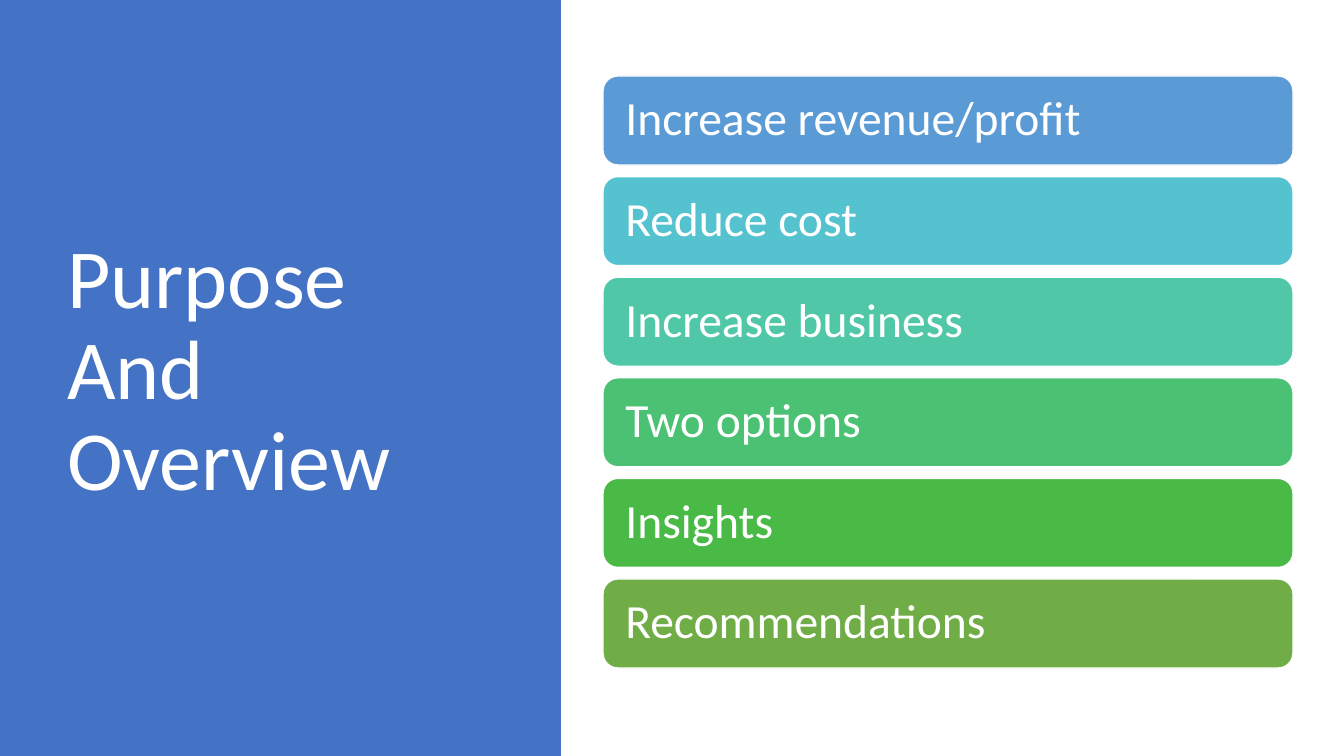
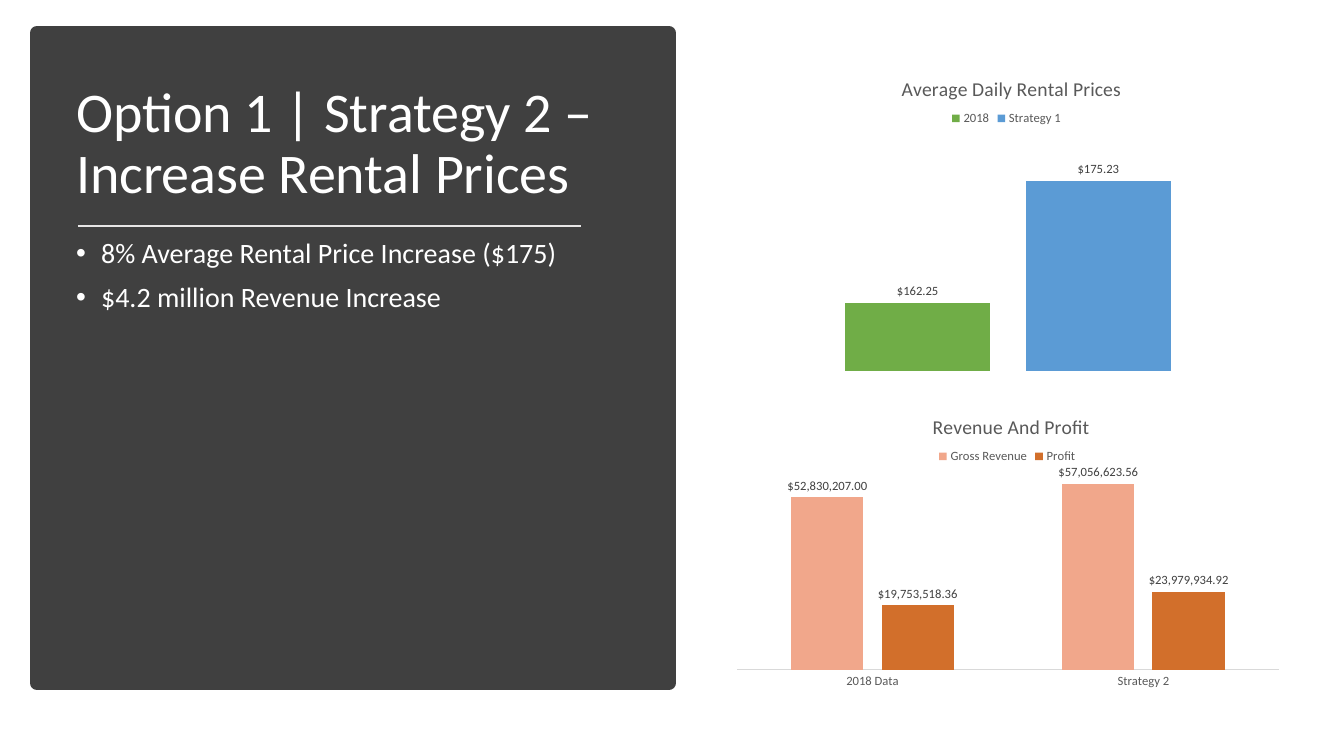
from lxml.etree import SubElement
from pptx import Presentation
from pptx.chart.data import CategoryChartData
from pptx.dml.color import RGBColor
from pptx.enum.chart import XL_CHART_TYPE, XL_LABEL_POSITION, XL_LEGEND_POSITION, XL_TICK_MARK
from pptx.enum.shapes import MSO_CONNECTOR, MSO_SHAPE
from pptx.enum.text import MSO_ANCHOR, MSO_AUTO_SIZE, PP_ALIGN
from pptx.oxml import parse_xml
from pptx.oxml.ns import nsdecls, qn
from pptx.util import Emu, Pt

EMU_PER_PX = 914400 / 100.8
FONT = "Calibri"
DOLLARS = '"$"#,##0.00'
COLORS = {
    "white": "FFFFFF", "band": "4472C4", "panel": "404040", "rule": "E7E6E6",
    "muted": "595959", "label": "404040", "axis": "D9D9D9", "black": "000000",
    "blue": "5B9BD5", "cyan": "55C3CF", "teal": "50C8A7", "mint": "4BC174",
    "green": "4ABA46", "olive": "70AD47", "salmon": "F1A78B", "rust": "D26F2B",
}
FRAME_FORMAT = {
    "word_wrap": True,
    "auto_size": MSO_AUTO_SIZE.NONE,
    "vertical_anchor": MSO_ANCHOR.MIDDLE,
}
PARAGRAPH_FORMAT = {"alignment": PP_ALIGN.LEFT, "line_spacing": 0.9, "space_before": Pt(0)}


def px(length):
    """Turn pixels into EMU."""
    return Emu(round(length * EMU_PER_PX))


def color(name):
    """Look up a named colour."""
    return RGBColor.from_string(COLORS[name])


def apply_format(target, values):
    """Set each attribute in values on target."""
    for attribute, value in values.items():
        setattr(target, attribute, value)


def set_font(font, size, tint):
    """Give a font the shared typeface with a size and colour."""
    apply_format(font, {"name": FONT, "size": Pt(size), "bold": False})
    font.color.rgb = color(tint)


def write_text(shape, lines, size, **overrides):
    """Fill a shape with white left-aligned paragraphs."""
    frame = shape.text_frame
    frame.text = "\n".join(lines)
    apply_format(frame, FRAME_FORMAT)
    for paragraph in frame.paragraphs:
        apply_format(paragraph, {**PARAGRAPH_FORMAT, **overrides})
        for run in paragraph.runs:
            set_font(run.font, size, "white")


def place(shape, box):
    """Move a shape to a pixel box."""
    apply_format(shape, dict(zip(("left", "top", "width", "height"), map(px, box))))


def add_block(slide, kind, box, fill, line=None, weight=1):
    """Draw a flat filled shape, outlined when a line colour is given."""
    block = slide.shapes.add_shape(kind, *map(px, box))
    block.shadow.inherit = False
    block.fill.solid()
    block.fill.fore_color.rgb = color(fill)
    if line:
        block.line.color.rgb = color(line)
        block.line.width = Pt(weight)
    else:
        block.line.fill.background()
    return block


def add_backdrop(slide, box, fill, **outline):
    """Draw a title panel behind everything else on the slide."""
    backdrop = add_block(slide, MSO_SHAPE.RECTANGLE, box, fill, **outline)
    slide.shapes._spTree.insert(2, backdrop._element)


def add_title(slide, text, box, size):
    """Place and format the title placeholder."""
    place(slide.shapes.title, box)
    write_text(slide.shapes.title, [text], size)


def add_topic_bars(slide, box, topics, bar_height=89):
    """Stack one rounded bar per topic, spread evenly over the box."""
    left, top, width, height = box
    pitch = (height - bar_height) / (len(topics) - 1)
    for row, (topic, fill) in enumerate(topics):
        bar = add_block(slide, MSO_SHAPE.ROUNDED_RECTANGLE,
                        (left, top + row * pitch, width, bar_height), fill, line="white")
        write_text(bar, [topic], 34)
        bar.text_frame.margin_left = px(18)


def add_rule(slide, left, top, width):
    """Draw the thin line under the title."""
    rule = slide.shapes.add_connector(
        MSO_CONNECTOR.STRAIGHT, px(left), px(top), px(left + width), px(top))
    rule.line.color.rgb = color("rule")
    rule.line.width = Pt(1.75)
    SubElement(rule._element.spPr, qn("a:effectLst"))


def add_findings(slide, box, findings):
    """Fill the body placeholder with a bulleted list."""
    body = slide.placeholders[1]
    place(body, box)
    write_text(body, findings, 20, space_before=Pt(10))
    body.text_frame.vertical_anchor = MSO_ANCHOR.TOP
    for paragraph in body.text_frame.paragraphs:
        properties = paragraph._p.get_or_add_pPr()
        properties.set("marL", str(px(25)))
        properties.set("indent", str(-px(25)))
        SubElement(properties, qn("a:buChar")).set("char", "•")


def set_layout(element, index, inner=False, **fractions):
    """Fix the position of a chart part as fractions of the chart."""
    for layout in element.findall(qn("c:layout")):
        element.remove(layout)
    target = '<c:layoutTarget val="inner"/>' if inner else ""
    modes = "".join(f'<c:{axis}Mode val="edge"/>' for axis in "xy")
    values = "".join(f'<c:{key} val="{value:.4f}"/>' for key, value in fractions.items())
    element.insert(index, parse_xml(
        f'<c:layout {nsdecls("c")}><c:manualLayout>{target}{modes}{values}'
        "</c:manualLayout></c:layout>"))


def add_column_chart(slide, box, heading, categories, series, scale, plot_box,
                     heading_left, legend_left, show_categories):
    """Draw a labelled column chart; inner positions are pixels within the box."""
    data = CategoryChartData(number_format=DOLLARS)
    data.categories = categories
    for name, values, _ in series:
        data.add_series(name, values)
    chart = slide.shapes.add_chart(
        XL_CHART_TYPE.COLUMN_CLUSTERED, *map(px, box), data).chart
    set_font(chart.font, 10, "black")
    _, _, width, height = box

    chart.has_title = True
    chart.chart_title.text_frame.text = heading
    set_font(chart.chart_title.text_frame.paragraphs[0].runs[0].font, 14, "muted")
    set_layout(chart.chart_title._element, 1, x=heading_left / width, y=19 / height)

    chart.has_legend = True
    apply_format(chart.legend, {"position": XL_LEGEND_POSITION.TOP, "include_in_layout": False})
    set_font(chart.legend.font, 9, "muted")
    set_layout(chart.legend._element, 1, x=legend_left / width, y=54 / height)

    left, top, plot_width, plot_height = plot_box
    set_layout(chart._chartSpace.chart.plotArea, 0, inner=True, x=left / width,
               y=top / height, w=plot_width / width, h=plot_height / height)

    low, high = scale
    apply_format(chart.value_axis, {
        "minimum_scale": low, "maximum_scale": high,
        "has_major_gridlines": False, "visible": False})
    category_axis = chart.category_axis
    category_axis.visible = show_categories
    category_axis.major_tick_mark = XL_TICK_MARK.NONE
    set_font(category_axis.tick_labels.font, 9, "muted")
    category_axis.format.line.color.rgb = color("axis")
    category_axis.format.line.width = Pt(0.75)

    plot = chart.plots[0]
    apply_format(plot, {"gap_width": 150, "overlap": -25, "vary_by_categories": False})
    for columns, (_, _, fill) in zip(plot.series, series):
        columns.format.fill.solid()
        columns.format.fill.fore_color.rgb = color(fill)
        apply_format(columns.data_labels, {
            "show_value": True, "number_format": DOLLARS,
            "number_format_is_linked": False, "position": XL_LABEL_POSITION.OUTSIDE_END})
        set_font(columns.data_labels.font, 9, "label")


def build_overview(deck):
    """Build the slide with the purpose and its topics."""
    slide = deck.slides.add_slide(deck.slide_layouts[5])
    add_backdrop(slide, (0, 0, 561, 756), "band")
    add_title(slide, "Purpose And Overview", (57, 69, 419, 607), 60)
    add_topic_bars(slide, (603, 76, 690, 592), [
        ("Increase revenue/profit", "blue"),
        ("Reduce cost", "cyan"),
        ("Increase business", "teal"),
        ("Two options", "mint"),
        ("Insights", "green"),
        ("Recommendations", "olive"),
    ])


def build_strategy(deck):
    """Build the slide with the pricing strategy and its two charts."""
    slide = deck.slides.add_slide(deck.slide_layouts[1])
    add_backdrop(slide, (37, 33, 632, 650), "panel", line="panel", weight=10)
    add_title(slide, "Option 1 | Strategy 2 – Increase Rental Prices", (66, 71, 578, 148), 40)
    add_rule(slide, 78, 226, 503)
    add_findings(slide, (66, 234, 578, 416), [
        "8% Average Rental Price Increase ($175)",
        "$4.2 million Revenue Increase",
    ])
    add_column_chart(
        slide, (726, 53, 565, 325), "Average Daily Rental Prices", ["1"],
        [("2018", [162.25], "olive"), ("Strategy 1", [175.23], "blue")],
        scale=(155, 180), plot_box=(11, 83, 542, 235),
        heading_left=172, legend_left=222, show_categories=False)
    add_column_chart(
        slide, (726, 391, 565, 304), "Revenue And Profit", ["2018 Data", "Strategy 2"],
        [("Gross Revenue", [52830207, 57056623.56], "salmon"),
         ("Profit", [19753518.36, 23979934.92], "rust")],
        scale=(0, 60000000), plot_box=(11, 83, 542, 196),
        heading_left=203, legend_left=209, show_categories=True)


def main():
    """Build and save the deck."""
    deck = Presentation()
    apply_format(deck, {"slide_width": px(1344), "slide_height": px(756)})
    build_overview(deck)
    build_strategy(deck)
    deck.save("out.pptx")


main()
